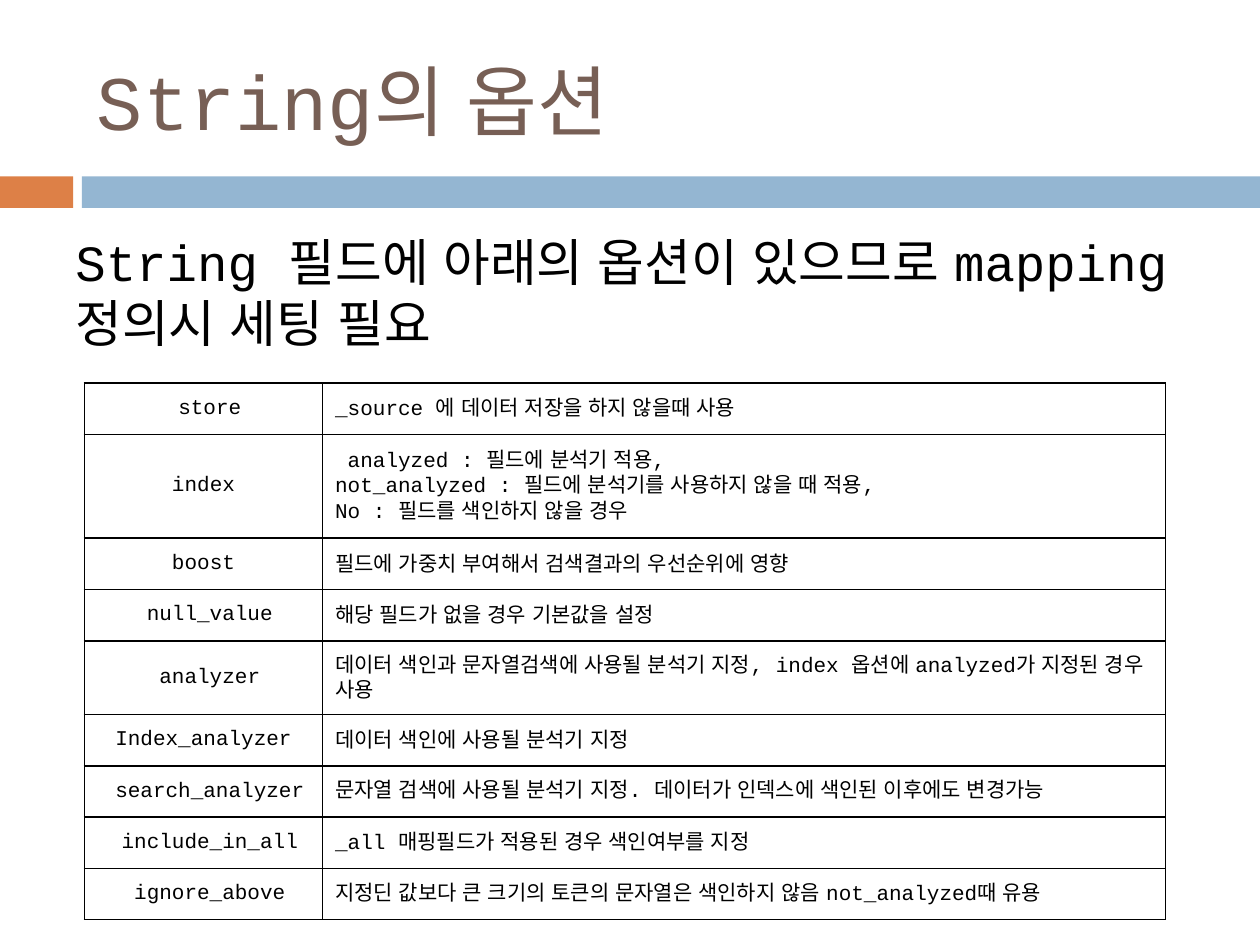
from pptx import Presentation
from pptx.dml.color import RGBColor
from pptx.enum.shapes import MSO_SHAPE
from pptx.enum.text import MSO_ANCHOR, PP_ALIGN
from pptx.oxml.ns import qn
from pptx.util import Inches, Pt
from lxml.etree import SubElement

FONT = "Courier New"
HANGUL_FONT = "Arial"
BLACK = "000000"
OPTIONS = [
    (" store", "_source 에 데이터 저장을 하지 않을때 사용", 0.41),
    ("index", " analyzed : 필드에 분석기 적용,\n"
              "not_analyzed : 필드에 분석기를 사용하지 않을 때 적용,\n"
              "No : 필드를 색인하지 않을 경우", 0.83),
    ("boost", "필드에 가중치 부여해서 검색결과의 우선순위에 영향", 0.41),
    (" null_value", "해당 필드가 없을 경우 기본값을 설정", 0.41),
    (" analyzer", "데이터 색인과 문자열검색에 사용될 분석기 지정, "
                  "index 옵션에 analyzed가 지정된 경우 사용", 0.59),
    ("Index_analyzer", "데이터 색인에 사용될 분석기 지정", 0.41),
    (" search_analyzer", "문자열 검색에 사용될 분석기 지정. "
                         "데이터가 인덱스에 색인된 이후에도 변경가능", 0.41),
    (" include_in_all", "_all 매핑필드가 적용된 경우 색인여부를 지정", 0.41),
    (" ignore_above", "지정딘 값보다 큰 크기의 토큰의 문자열은 색인하지 않음 "
                      "not_analyzed때 유용", 0.41),
]


def rgb(color):
    return RGBColor.from_string(color)


def write(frame, text, size, color, align=PP_ALIGN.LEFT):
    frame.text = text
    frame.word_wrap = True
    for paragraph in frame.paragraphs:
        paragraph.alignment = align
        for run in paragraph.runs:
            run.font.name = FONT
            run.font.size = Pt(size)
            run.font.color.rgb = rgb(color)
            SubElement(run._r.get_or_add_rPr(), qn("a:ea"), typeface=HANGUL_FONT)


def add_text(slide, box, text, size, color, anchor):
    frame = slide.shapes.add_textbox(*map(Inches, box)).text_frame
    write(frame, text, size, color)
    frame.vertical_anchor = anchor


def add_band(slide, box):
    left, top, width, height = box
    accent_width, gap = 0.58, 0.07
    bar_left = left + accent_width + gap
    for x, w, color in (
        (left, accent_width, "DD8047"),
        (bar_left, left + width - bar_left, "94B6D2"),
    ):
        bar = slide.shapes.add_shape(
            MSO_SHAPE.RECTANGLE, Inches(x), Inches(top), Inches(w), Inches(height))
        bar.shadow.inherit = False
        bar.fill.solid()
        bar.fill.fore_color.rgb = rgb(color)
        bar.line.fill.background()


def add_borders(cell, color):
    properties = cell._tc.get_or_add_tcPr()
    for position, side in enumerate(("a:lnL", "a:lnR", "a:lnT", "a:lnB")):
        border = properties.makeelement(qn(side), {"w": str(Pt(1))})
        fill = SubElement(border, qn("a:solidFill"))
        SubElement(fill, qn("a:srgbClr"), val=color)
        properties.insert(position, border)


def add_options(slide, box):
    left, top, width, height = box
    name_width = 1.89
    table = slide.shapes.add_table(
        len(OPTIONS), 2, *map(Inches, box)).table
    table.first_row = False
    table.horz_banding = False
    table.columns[0].width = Inches(name_width)
    table.columns[1].width = Inches(width - name_width)
    total = sum(row_height for _, _, row_height in OPTIONS)
    for row, (name, meaning, row_height) in zip(table.rows, OPTIONS):
        row.height = Inches(height * row_height / total)
        for cell, text, align in zip(
                row.cells, (name, meaning), (PP_ALIGN.CENTER, PP_ALIGN.LEFT)):
            write(cell.text_frame, text, 12, BLACK, align)
            cell.vertical_anchor = MSO_ANCHOR.MIDDLE
            cell.fill.background()
            add_borders(cell, BLACK)


def main():
    deck = Presentation()
    deck.slide_width, deck.slide_height = Inches(10), Inches(7.5)
    slide = deck.slides.add_slide(deck.slide_layouts[6])
    add_band(slide, (0, 1.4, 10, 0.25))
    add_text(slide, (0.67, 0.25, 8.92, 1.08), "String의 옵션",
             44, "775F55", MSO_ANCHOR.MIDDLE)
    add_text(slide, (0.5, 1.78, 9, 2.2),
             "String 필드에 아래의 옵션이 있으므로 mapping 정의시 세팅 필요",
             29, BLACK, MSO_ANCHOR.TOP)
    add_options(slide, (0.67, 3.04, 8.58, 4.26))
    deck.save("out.pptx")


if __name__ == "__main__":
    main()
